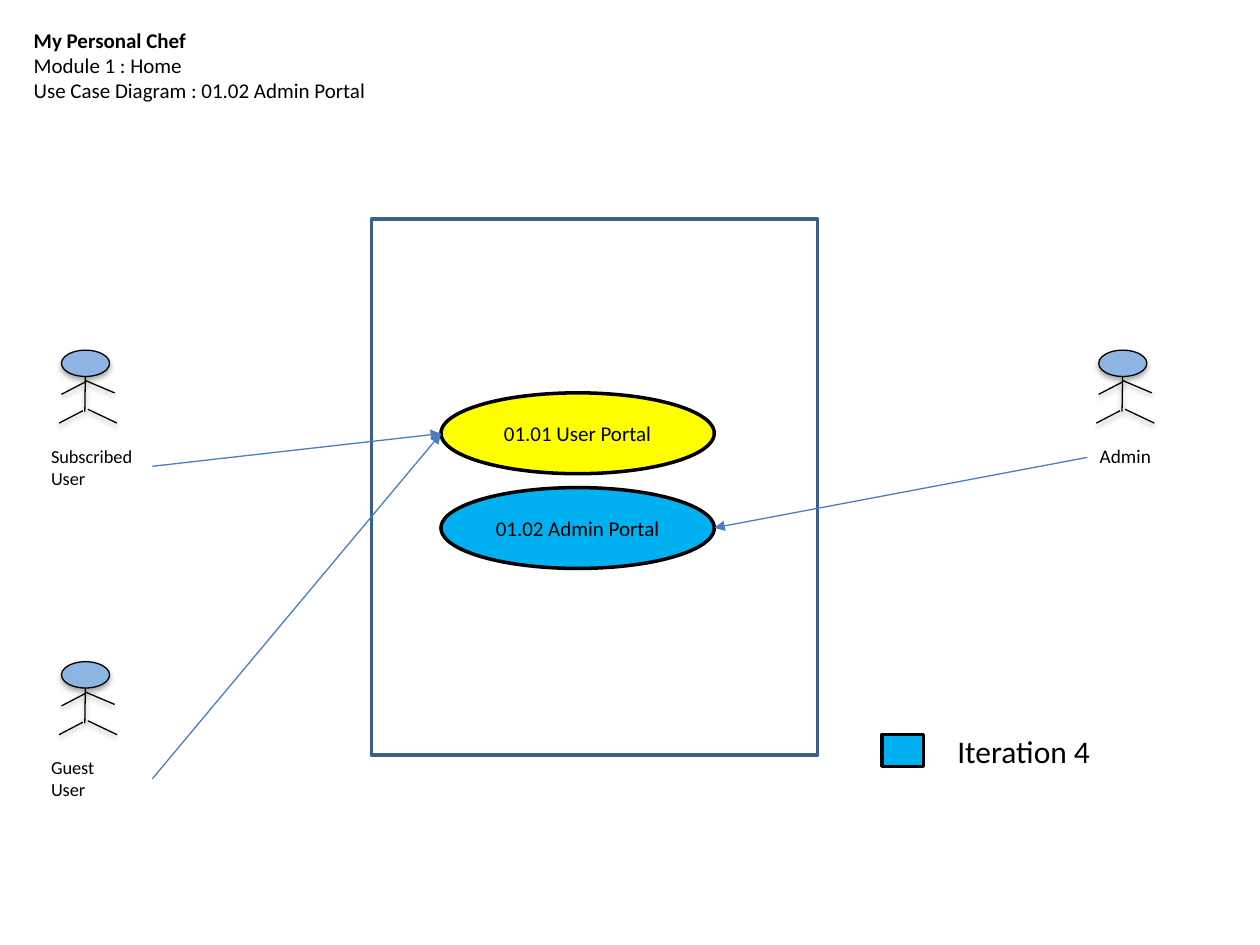
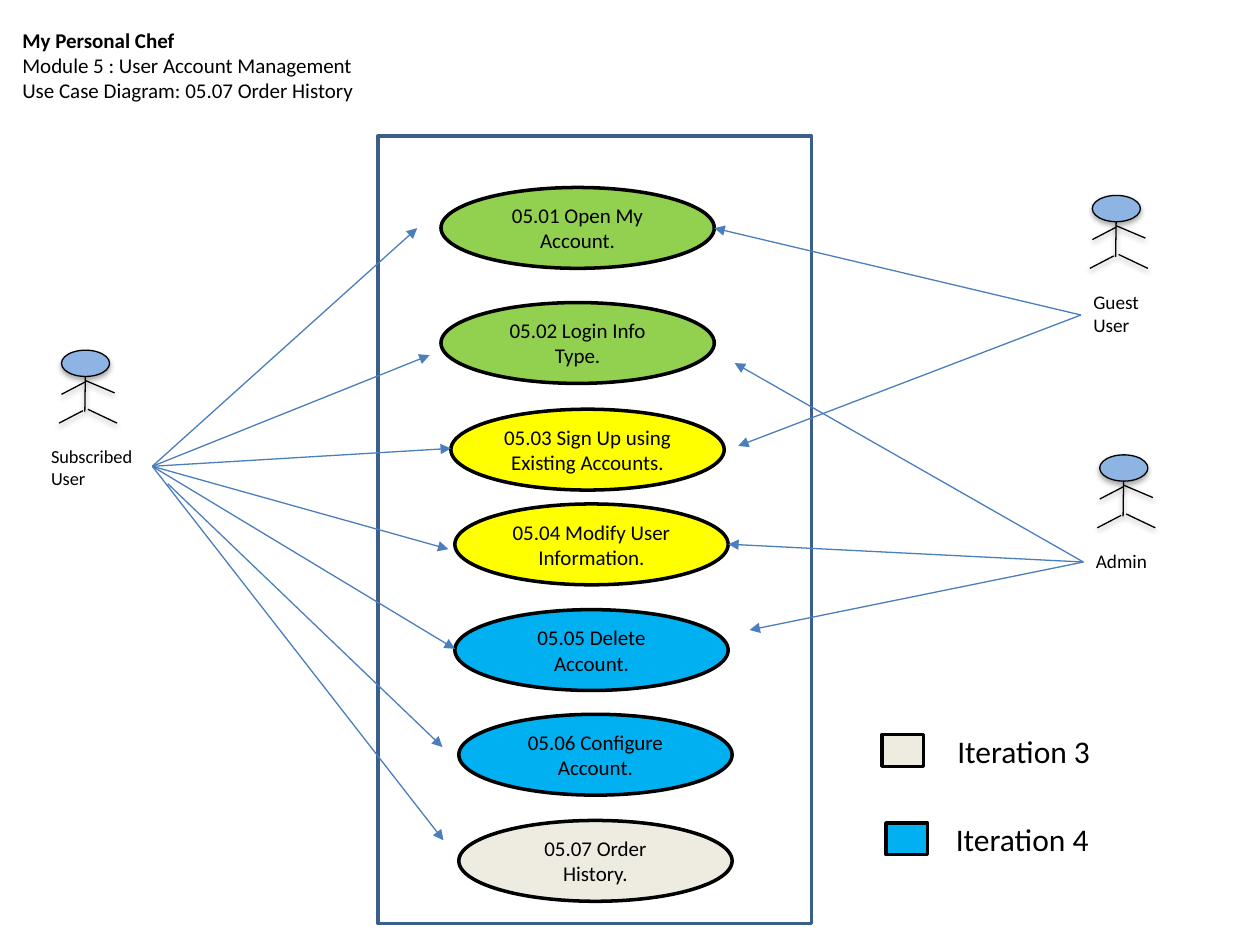
from lxml.etree import SubElement
from pptx import Presentation
from pptx.dml.color import RGBColor
from pptx.enum.shapes import MSO_CONNECTOR, MSO_SHAPE
from pptx.enum.text import MSO_ANCHOR, MSO_AUTO_SIZE, PP_ALIGN
from pptx.oxml.ns import qn
from pptx.util import Cm, Pt

BLACK, NAVY, STEEL, HEAD = "000000", "3A5F8C", "4B7EBC", "8EB4E3"
GREEN, YELLOW, CYAN, CREAM = "92D050", "FFFF00", "00B0F0", "EEECE1"
LIMBS = [
    (0.48, 0.53, 0.47, 1.24),
    (0.48, 0.64, 0, 0.89),
    (0.43, 1.22, -0.05, 1.47),
    (0.48, 0.61, 1.07, 0.86),
    (0.53, 1.19, 1.12, 1.47),
]
LEFT = {"shift": -0.46, "wide": 2.29, "size": 10.5}
RIGHT = {"shift": -0.23, "wide": 1.73, "size": 11}


def color(code):
    return RGBColor.from_string(code)


class Deck:
    def __init__(self):
        self.deck = Presentation()
        self.deck.slide_width, self.deck.slide_height = Cm(25.4), Cm(19.05)

    def page(self, left, lines):
        self.slide = self.deck.slides.add_slide(self.deck.slide_layouts[6])
        self.shapes = self.slide.shapes
        self.text(self.shapes, (left, 0.43, 10.36, 1.8), lines, 12)
        first = self.shapes[0].text_frame.paragraphs[0]
        first.runs[0].font.bold = True

    def words(self, frame, lines, size, align=PP_ALIGN.LEFT):
        frame.word_wrap = True
        frame.text = "\n".join(lines)
        style = {"name": "Calibri", "size": Pt(size)}
        for para in frame.paragraphs:
            para.alignment = align
            for run in para.runs:
                for key, value in style.items():
                    setattr(run.font, key, value)
                run.font.color.rgb = color(BLACK)

    def text(self, home, box, lines, size):
        frame = home.add_textbox(*map(Cm, box)).text_frame
        self.words(frame, lines, size)
        frame.auto_size = MSO_AUTO_SIZE.SHAPE_TO_FIT_TEXT

    def shade(self, item, dist, alpha):
        props = item._element.spPr
        node = props.find(qn("a:effectLst"))
        if node is None:
            node = SubElement(props, qn("a:effectLst"))
        if alpha:
            cast = SubElement(node, qn("a:outerShdw"), blurRad="40000",
                              dist=str(dist), dir="5400000", rotWithShape="0")
            tint = SubElement(cast, qn("a:srgbClr"), val=BLACK)
            SubElement(tint, qn("a:alpha"), val=str(alpha * 1000))

    def shape(self, home, kind, box, fill, edge=BLACK, width=2):
        item = home.add_shape(kind, *map(Cm, box))
        item.shadow.inherit = False
        if fill:
            item.fill.solid()
            item.fill.fore_color.rgb = color(fill)
        else:
            item.fill.background()
        item.line.color.rgb = color(edge)
        item.line.width = Pt(width)
        return item

    def line(self, home, ends, tint, alpha=0):
        item = home.add_connector(MSO_CONNECTOR.STRAIGHT, *map(Cm, ends))
        item.line.color.rgb = color(tint)
        item.line.width = Pt(0.75)
        self.shade(item, 20000, alpha)
        return item

    def arrows(self, start, *goals):
        for goal in goals:
            item = self.line(self.shapes, (*start, *goal), STEEL)
            edge = item._element.spPr.find(qn("a:ln"))
            SubElement(edge, qn("a:tailEnd"), type="triangle")

    def actor(self, left, top, name, side):
        home = self.shapes.add_group_shape().shapes
        head = self.shape(home, MSO_SHAPE.OVAL, (left, top, 0.97, 0.53),
                          HEAD, width=0.75)
        self.shade(head, 23000, 35)
        for x, y, far, low in LIMBS:
            self.line(home, (left + x, top + y, left + far, top + low), BLACK, 38)
        high = 0.74 if name == "Admin" else 1.16
        box = (left + side["shift"], top + 1.78, side["wide"], high)
        self.text(home, box, [name], side["size"])

    def case(self, left, top, name, fill):
        item = self.shape(self.shapes, MSO_SHAPE.OVAL, (left, top, 5.51, 1.63), fill)
        item.text_frame.vertical_anchor = MSO_ANCHOR.MIDDLE
        self.words(item.text_frame, [name], 12, PP_ALIGN.CENTER)

    def frame(self, *box):
        self.shape(self.shapes, MSO_SHAPE.RECTANGLE, box, None, NAVY)

    def legend(self, left, top, name, fill, gap=1.27):
        self.shape(self.shapes, MSO_SHAPE.RECTANGLE, (left, top, 0.84, 0.64), fill)
        self.text(self.shapes, (left + gap, top - 0.18, 4.88, 1.02), [name], 18)


deck = Deck()
user = (3.07, 9.4)

deck.page(0.43, ["My Personal Chef", "Module 1 : Home",
                 "Use Case Diagram : 01.02 Admin Portal"])
deck.frame(7.49, 4.42, 8.99, 10.8)
deck.actor(1.24, 7.06, "Subscribed User", LEFT)
deck.actor(1.24, 13.34, "Guest\vUser", LEFT)
deck.actor(22.15, 7.06, "Admin", RIGHT)
deck.case(8.89, 7.92, "01.01 User Portal", YELLOW)
deck.case(8.89, 9.83, "01.02 Admin Portal", CYAN)
for start in (user, (3.07, 15.7)):
    deck.arrows(start, (8.89, 8.74))
deck.arrows((21.92, 9.22), (14.4, 10.64))
deck.legend(17.78, 14.81, "Iteration 4", CYAN)

deck.page(0.2, ["My Personal Chef", "Module 5 : User Account Management",
                "Use Case Diagram: 05.07 Order History"])
deck.frame(7.62, 2.74, 8.74, 15.88)
deck.actor(1.24, 7.06, "Subscribed User", LEFT)
deck.actor(22.02, 3.94, "Guest User", RIGHT)
deck.actor(22.17, 9.17, "Admin", {**RIGHT, "shift": -0.33, "wide": 1.85})
cases = [
    (8.89, 3.78, "05.01 Open My Account.", GREEN),
    (8.89, 6.1, "05.02 Login Info Type.", GREEN),
    (9.09, 8.25, "05.03 Sign Up using Existing Accounts.", YELLOW),
    (9.17, 10.16, "05.04 Modify User Information.", YELLOW),
    (9.17, 12.29, "05.05 Delete Account.", CYAN),
    (9.25, 14.4, "05.06 Configure Account.", CYAN),
    (9.25, 16.54, "05.07 Order History.", CREAM),
]
for case in cases:
    deck.case(*case)
deck.arrows(user, (8.41, 4.6), (8.66, 7.16), (9.09, 9.04),
            (9.04, 11.07), (9.17, 13.08), (8.94, 16.94))
deck.arrows((3.38, 9.75), (8.92, 15.06))
deck.arrows((21.79, 6.35), (14.4, 4.6), (14.88, 8.99))
deck.arrows((21.84, 11.33), (14.81, 7.32), (14.68, 10.97), (15.11, 12.7))
deck.legend(17.78, 14.81, "Iteration 3", CREAM)
deck.legend(17.86, 16.59, "Iteration 4", CYAN, 1.16)

deck.deck.save("out.pptx")
